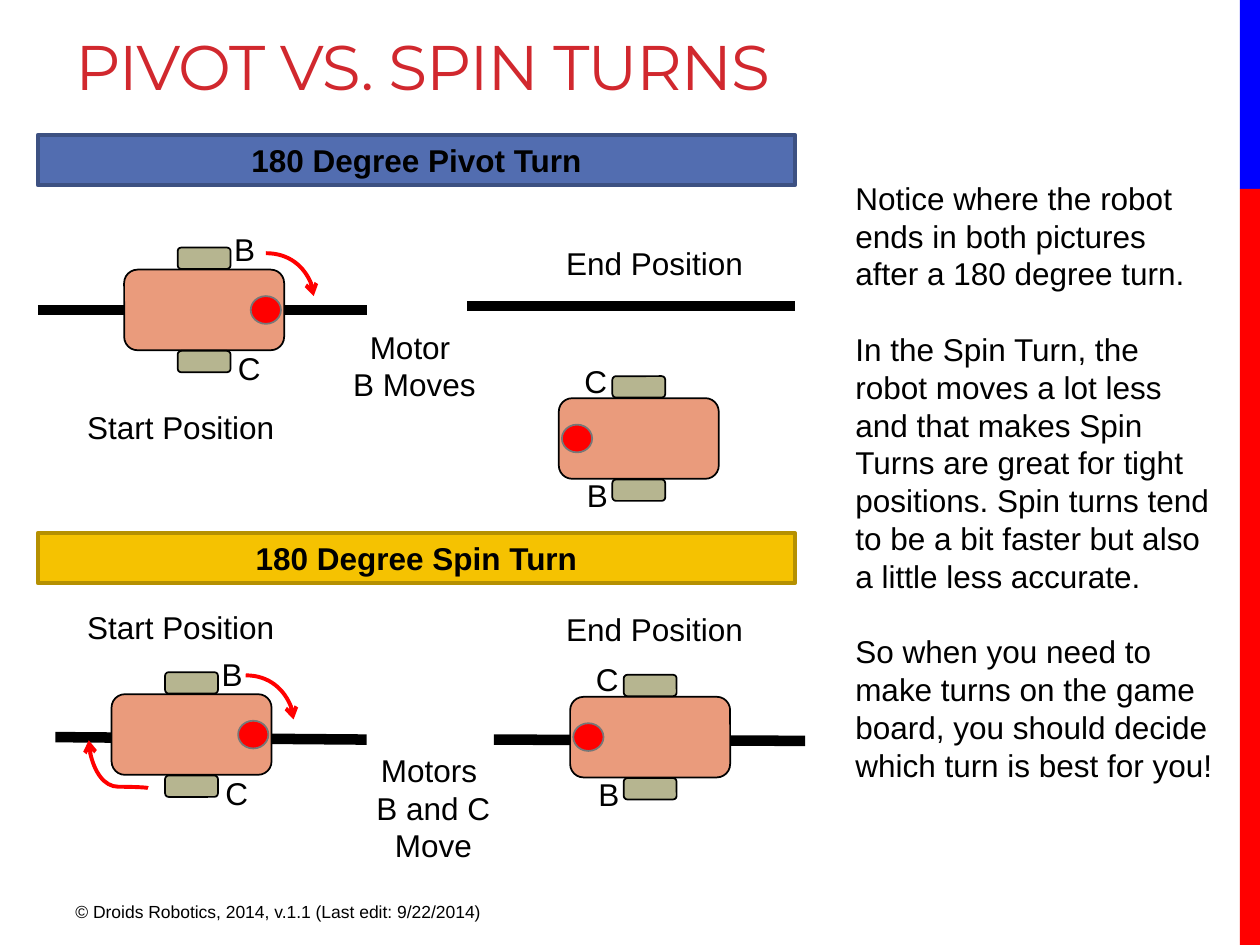
from dataclasses import dataclass

from lxml.etree import SubElement
from pptx import Presentation
from pptx.dml.color import RGBColor
from pptx.enum.shapes import MSO_CONNECTOR as Link, MSO_SHAPE as Shape
from pptx.enum.text import MSO_ANCHOR as Anchor, PP_ALIGN as Align
from pptx.oxml.ns import qn
from pptx.util import Inches, Pt


@dataclass(frozen=True)
class Theme:
    heading_font: str = "Montserrat"
    body_font: str = "Arial"
    title_size: float = 36
    body_size: float = 18
    footer_size: float = 10
    leading: float = 21.6
    black: str = "000000"
    title: str = "D1282E"
    blue: str = "0000FF"
    red: str = "FF0000"
    pivot: tuple = ("526DB0", "3D5182")
    spin: tuple = ("F5C201", "B59001")
    body: str = "EA9B7C"
    wheel: str = "B6B590"
    nose_edge: str = "777777"


THEME = Theme()


def color(value):
    return RGBColor.from_string(value)


def style_paragraph(para, size, ink=THEME.black, font=THEME.body_font, bold=False):
    for span in para.runs:
        span.font.name = font
        span.font.size = Pt(size)
        span.font.bold = bold
        span.font.color.rgb = color(ink)


def add_text(shapes, left, top, width, height, text, align=Align.LEFT,
             size=THEME.body_size, gap=0, **style):
    box = shapes.add_textbox(Inches(left), Inches(top), Inches(width), Inches(height))
    frame = box.text_frame
    frame.word_wrap = True
    frame.text = text
    for index, para in enumerate(frame.paragraphs):
        para.alignment = align
        if size == THEME.body_size:
            para.line_spacing = Pt(THEME.leading)
        if index and gap:
            para.space_before = Pt(gap)
        style_paragraph(para, size, **style)
    return box


def add_block(shapes, kind, left, top, width, height, fill, edge=None, weight=1.0):
    block = shapes.add_shape(kind, Inches(left), Inches(top), Inches(width), Inches(height))
    block.shadow.inherit = False
    block.fill.solid()
    block.fill.fore_color.rgb = color(fill)
    if edge:
        block.line.color.rgb = color(edge)
        block.line.width = Pt(weight)
    else:
        block.line.fill.background()
    return block


def add_line(shapes, kind, start, end, ink, weight):
    line = shapes.add_connector(kind, *(Inches(value) for value in (*start, *end)))
    line.line.color.rgb = color(ink)
    line.line.width = Pt(weight)
    SubElement(line._element.spPr, qn("a:effectLst"))
    return line


def add_curve(shapes, start, end, preset="curvedConnector2"):
    curve = add_line(shapes, Link.CURVE, start, end, THEME.red, 2.25)
    properties = curve._element.spPr
    properties.find(qn("a:prstGeom")).set("prst", preset)
    SubElement(properties.find(qn("a:ln")), qn("a:tailEnd"), type="arrow")
    return curve


def add_rear_curve(shapes, x, y):
    curve = add_curve(shapes, (x, y + 0.47), (x + 0.38, y), "curvedConnector3")
    properties = curve._element.spPr
    properties.find(qn("a:xfrm")).set("rot", "16200000")
    adjustments = properties.find(qn("a:prstGeom")).get_or_add_avLst()
    SubElement(adjustments, qn("a:gd"), name="adj1", fmla="val 2800")


def draw_robot(page, center_x, center_y, facing):
    shapes = page.shapes.add_group_shape().shapes
    parts = [
        (Shape.ROUNDED_RECTANGLE, 0, 0, 0.64, 1.27, THEME.body, THEME.black),
        (Shape.ROUNDED_RECTANGLE, 0, -0.41, 0.17, 0.42, THEME.wheel, THEME.black),
        (Shape.ROUNDED_RECTANGLE, 0, 0.41, 0.17, 0.42, THEME.wheel, THEME.black),
        (Shape.OVAL, 0.49 * facing, 0, 0.22, 0.24, THEME.red, THEME.nose_edge),
    ]
    for kind, dx, dy, width, height, fill, edge in parts:
        part = add_block(shapes, kind, center_x + dx - width / 2,
                         center_y + dy - height / 2, width, height, fill, edge)
        part.rotation = 90 if facing > 0 else 270
    if facing > 0:
        motors = [("B", 0.14, -0.68), ("C", 0.17, 0.26)]
    else:
        motors = [("C", -0.53, -0.66), ("B", -0.51, 0.25)]
    for name, dx, dy in motors:
        add_text(shapes, center_x + dx, center_y + dy, 0.51, 0.32, name)
    return shapes


def draw_panel(page, left, top, heading, colors, tracks, robots, labels):
    for x1, y1, x2, y2 in tracks:
        add_line(page.shapes, Link.STRAIGHT, (left + x1, top + y1),
                 (left + x2, top + y2), THEME.black, 6)
    banner = add_block(page.shapes, Shape.RECTANGLE, left, top, 6.01, 0.4, *colors, 2.25)
    banner.text_frame.text = heading
    banner.text_frame.vertical_anchor = Anchor.MIDDLE
    para = banner.text_frame.paragraphs[0]
    para.alignment = Align.CENTER
    style_paragraph(para, THEME.body_size, bold=True)
    for text, x, y, width, height in labels:
        add_text(page.shapes, left + x, top + y, width, height, text, Align.CENTER)
    return [draw_robot(page, left + x, top + y, facing)
            for (x, y), facing in zip(robots, (1, -1))]


def draw_pivot_panel(page, left, top):
    start, _ = draw_panel(
        page, left, top, "180 Degree Pivot Turn", THEME.pivot,
        tracks=[(0, 1.39, 2.61, 1.39), (3.41, 1.36, 6.01, 1.36)],
        robots=[(1.32, 1.39), (4.77, 2.41)],
        labels=[("Start Position", 0.2, 2.12, 1.87, 0.4),
                ("End Position", 3.96, 0.82, 1.87, 0.4),
                ("Motor \nB Moves", 2.26, 1.48, 1.46, 0.71)])
    add_curve(start, (left + 1.81, top + 0.94), (left + 2.19, top + 1.28))


def draw_spin_panel(page, left, top):
    start, _ = draw_panel(
        page, left, top, "180 Degree Spin Turn", THEME.spin,
        tracks=[(0.14, 1.62, 2.61, 1.64), (3.62, 1.64, 6.09, 1.65)],
        robots=[(1.22, 1.6), (4.86, 1.62)],
        labels=[("Start Position", 0.2, 0.55, 1.87, 0.4),
                ("End Position", 3.96, 0.56, 1.87, 0.4),
                ("Motors \nB and C Move", 2.41, 1.68, 1.46, 1.01)])
    add_curve(start, (left + 1.65, top + 1.13), (left + 2.03, top + 1.48))
    add_rear_curve(start, left + 0.45, top + 1.6)


def draw_side_stripe(page, left, top, width):
    add_block(page.shapes, Shape.RECTANGLE, left, top, width, 1.5, THEME.blue)
    add_block(page.shapes, Shape.RECTANGLE, left, top + 1.5, width, 6, THEME.red)


def draw_title(page, left, top, width, height):
    box = add_text(page.shapes, left, top, width, height, "PIVOT VS. SPIN TURNS",
                   size=THEME.title_size, ink=THEME.title, font=THEME.heading_font)
    span = box.text_frame.paragraphs[0].runs[0]
    span.font._element.set("spc", "-60")


def draw_notes_column(page, left, top, width, height):
    notes = [
        "Notice where the robot ends in both pictures after a 180 degree turn.",
        "In the Spin Turn, the robot moves a lot less and that makes Spin Turns are "
        "great for tight positions. Spin turns tend to be a bit faster but also a "
        "little less accurate.",
        "So when you need to make turns on the game board, you should decide which "
        "turn is best for you!",
    ]
    add_text(page.shapes, left, top, width, height, "\n".join(notes), gap=THEME.leading)


def main():
    deck = Presentation()
    deck.slide_width, deck.slide_height = Inches(10), Inches(7.5)
    page = deck.slides.add_slide(deck.slide_layouts[6])
    draw_side_stripe(page, 9.84, 0, 0.16)
    draw_title(page, 0.5, 0.17, 9.02, 1.5)
    draw_pivot_panel(page, 0.3, 1.07)
    draw_spin_panel(page, 0.3, 4.23)
    draw_notes_column(page, 6.69, 1.37, 3.07, 4.95)
    add_text(page.shapes, 0.5, 7.1, 3.75, 0.31,
             "© Droids Robotics, 2014, v.1.1 (Last edit: 9/22/2014)",
             size=THEME.footer_size)
    deck.save("out.pptx")


if __name__ == "__main__":
    main()
